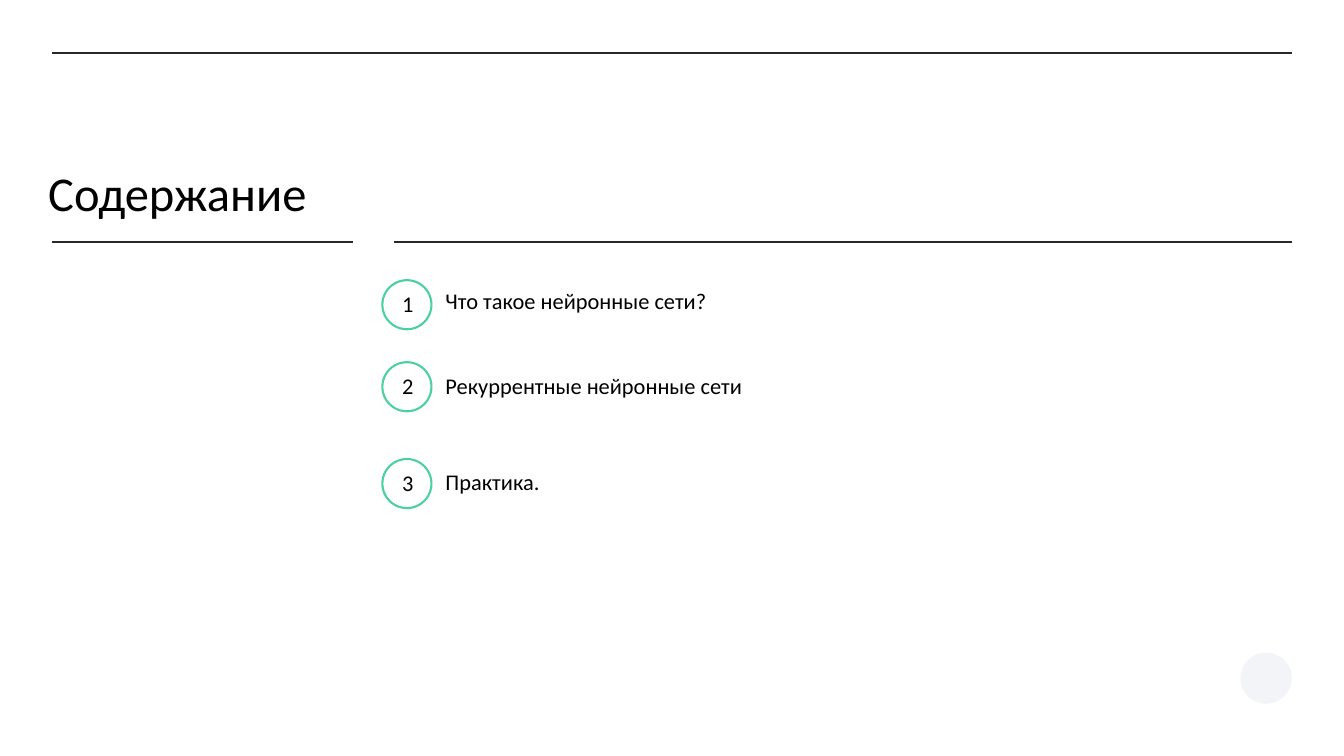
"""Build a contents slide with three numbered topics."""
from lxml import etree
from pptx import Presentation
from pptx.dml.color import RGBColor
from pptx.enum.shapes import MSO_CONNECTOR, MSO_SHAPE
from pptx.enum.text import MSO_ANCHOR, PP_ALIGN
from pptx.oxml.ns import qn
from pptx.util import Pt

LINE = MSO_CONNECTOR.STRAIGHT
OVAL = MSO_SHAPE.OVAL
TOP = MSO_ANCHOR.TOP
LEFT, CENTER = PP_ALIGN.LEFT, PP_ALIGN.CENTER

FONT = "Calibri"
COLORS = {"text": "000000", "rule": "27282D", "ring": "4BD0A0", "mark": "F3F4F7"}
RULES = [(56.2, 1383.8, 56.7), (56.2, 378, 259.2), (422.6, 1383.8, 259.2)]
TOPICS = [
    ("Что такое нейронные сети?", 300.2, 300.2, 41),
    ("Рекуррентные нейронные сети", 388.1, 391.7, 36),
    ("Практика.", 491.8, 494.6, 111.6),
]


def color(name):
    return RGBColor.from_string(COLORS[name])


def add_rule(slide, left, right, top):
    rule = slide.shapes.add_connector(LINE, Pt(left), Pt(top), Pt(right), Pt(top))
    rule.line.color.rgb = color("rule")
    rule.line.width = Pt(1.5)
    etree.SubElement(rule.element.spPr, qn("a:effectLst"))


def add_oval(slide, left, top, size):
    oval = slide.shapes.add_shape(OVAL, Pt(left), Pt(top), Pt(size), Pt(size))
    oval.shadow.inherit = False
    return oval


def add_ring(slide, left, top):
    ring = add_oval(slide, left, top, 52.6)
    ring.fill.background()
    ring.line.color.rgb = color("ring")
    ring.line.width = Pt(2.25)


def add_mark(slide):
    mark = add_oval(slide, 1329.1, 699.1, 55)
    mark.fill.solid()
    mark.fill.fore_color.rgb = color("mark")
    mark.line.fill.background()


def add_text(slide, text, left, top, width, height, size=24, align=LEFT, space=1.0):
    box = slide.shapes.add_textbox(Pt(left), Pt(top), Pt(width), Pt(height))
    frame = box.text_frame
    frame.word_wrap = True
    frame.vertical_anchor = TOP
    frame.margin_left = frame.margin_right = Pt(7.2)
    frame.margin_top = frame.margin_bottom = Pt(7.2)
    frame.text = text
    para = frame.paragraphs[0]
    para.alignment = align
    para.line_spacing = space
    font = para.runs[0].font
    font.name = FONT
    font.size = Pt(size)
    font.color.rgb = color("text")


def add_topic(slide, number, text, ring_top, text_top, height):
    add_ring(slide, 409.7, ring_top)
    add_text(slide, str(number), 416.9, ring_top + 3.6, 40.3, 41, align=CENTER)
    add_text(slide, text, 470.2, text_top, 625.7, height)


def main():
    deck = Presentation()
    deck.slide_width, deck.slide_height = Pt(1440), Pt(810)
    slide = deck.slides.add_slide(deck.slide_layouts[6])
    add_mark(slide)
    for rule in RULES:
        add_rule(slide, *rule)
    add_text(slide, "Содержание", 44.6, 180, 364.3, 67.7, size=52, space=0.8)
    for number, topic in enumerate(TOPICS, 1):
        add_topic(slide, number, *topic)
    deck.save("out.pptx")


main()
